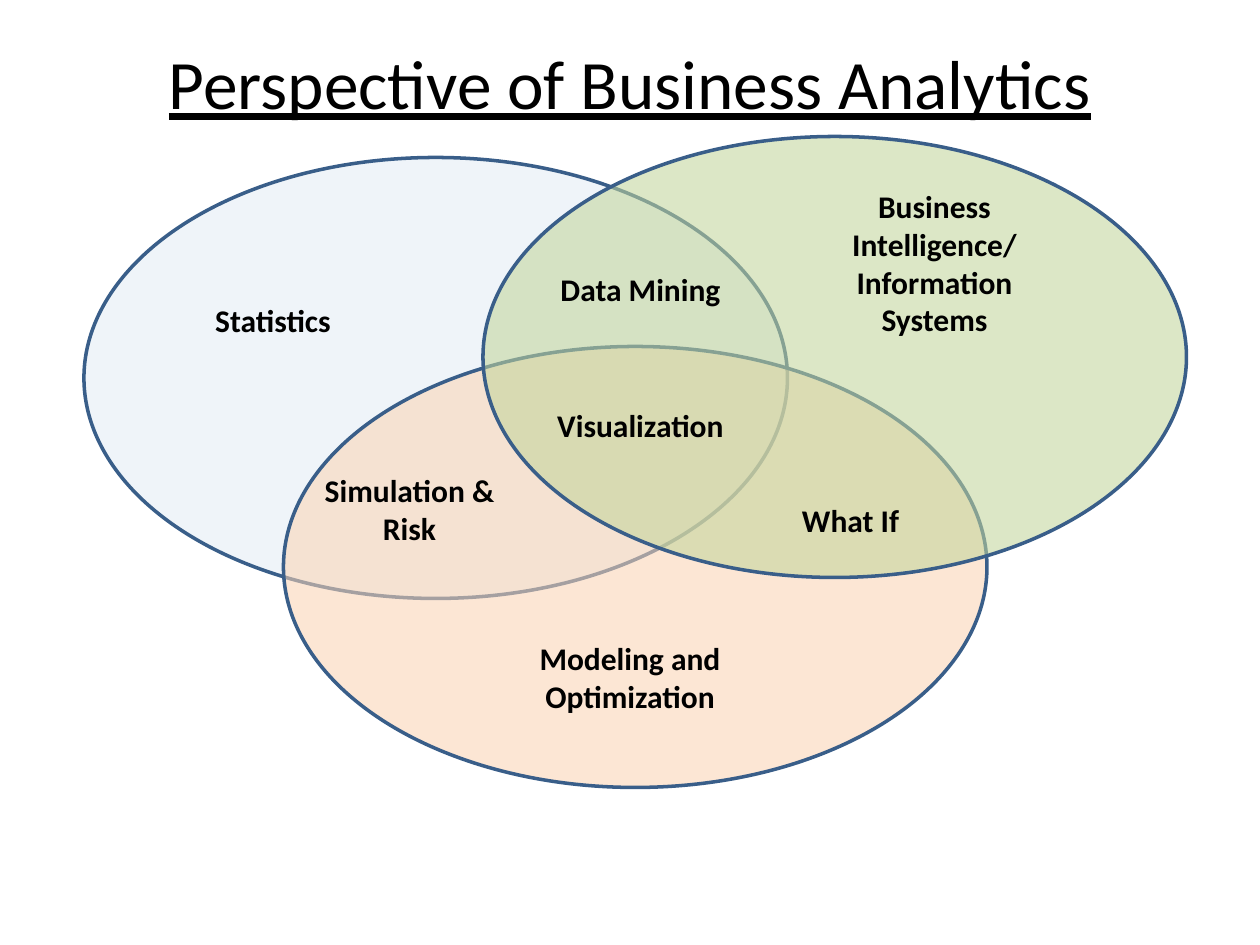
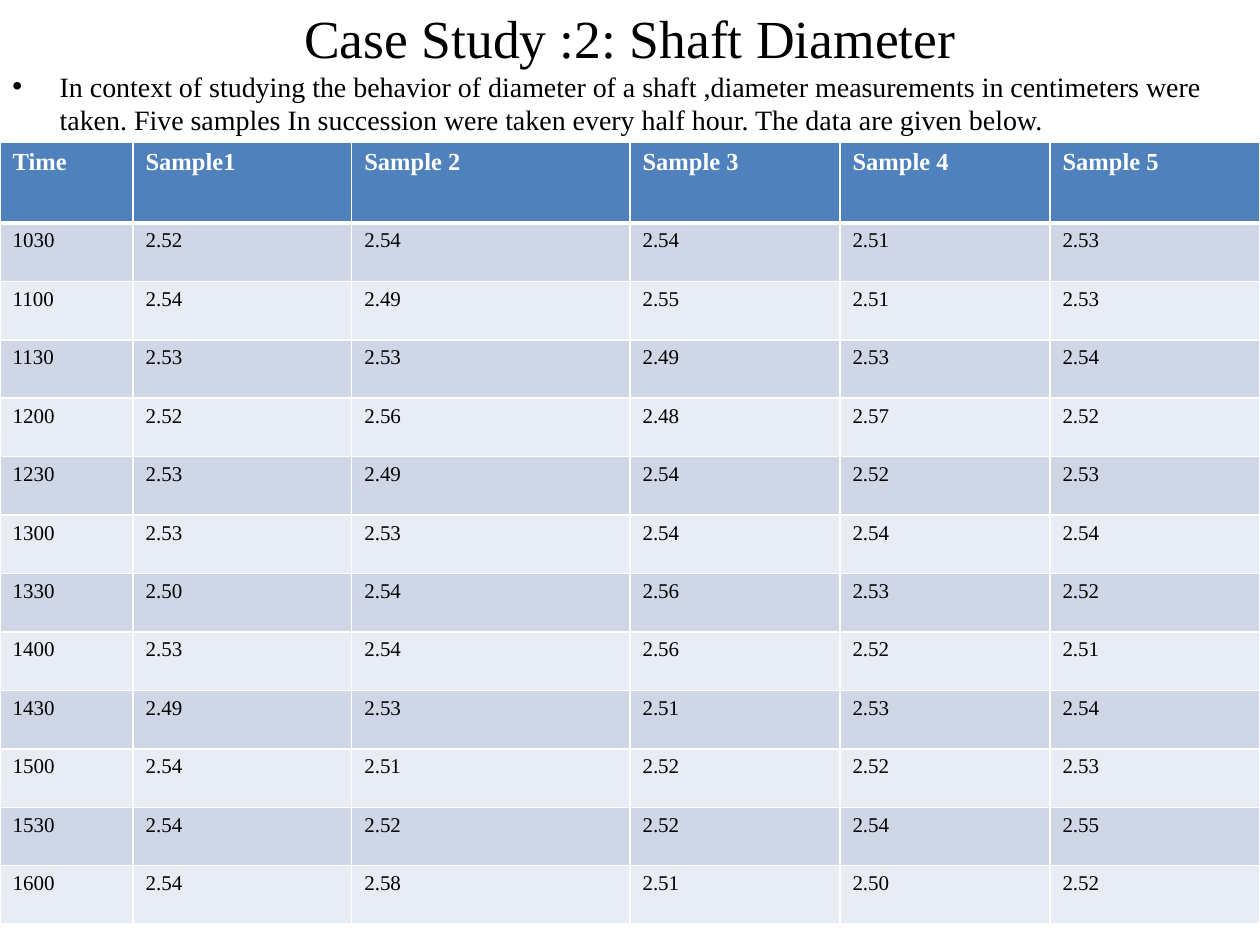
"""Build two slides on business analytics: a Venn diagram and a table of shaft diameters."""
from lxml import etree
from pptx import Presentation, util as u
from pptx.dml.color import RGBColor
from pptx.enum import shapes, text
from pptx.oxml import ns

HUE = {"ink": "000000", "white": "FFFFFF", "edge": "395E89",
       "blue": "DAE5F1", "peach": "FBD4B4", "green": "C2D59B",
       "head": "4F81BD", "dark": "CFD7E7", "light": "E8ECF4"}
SANS, SERIF = "Calibri", "Times New Roman"
MID, TOP = text.MSO_ANCHOR.MIDDLE, text.MSO_ANCHOR.TOP
LEFT, MIDST = text.PP_ALIGN.LEFT, text.PP_ALIGN.CENTER


def write(frame, words, font=SANS, size=18, hue="ink", bold=False, line=False,
          align=MIDST, anchor=MID, bullet=None):
    """Put one formatted paragraph into a text frame."""
    frame.word_wrap = True
    frame.vertical_anchor = anchor
    para = frame.paragraphs[0]
    para.alignment = align
    if bullet:
        props = para._p.get_or_add_pPr()
        props.set("marL", str(u.Pt(27)))
        props.set("indent", str(-u.Pt(27)))
        etree.SubElement(props, ns.qn("a:buFont"), typeface="Arial")
        etree.SubElement(props, ns.qn("a:buChar"), char=bullet)
    run = para.add_run()
    run.text = words
    run.font.name, run.font.size = font, u.Pt(size)
    run.font.bold, run.font.underline = bold, line
    run.font.color.rgb = RGBColor.from_string(HUE[hue])


def box(slide, *place):
    """Add a text box, placed in points, and return its frame."""
    return slide.shapes.add_textbox(*map(u.Pt, place)).text_frame


deck = Presentation()
deck.slide_width, deck.slide_height = u.Pt(720), u.Pt(540)
blank = deck.slide_layouts[6]

venn = deck.slides.add_slide(blank)
for left, top, hue, alpha in [(48, 90, "blue", 41), (162, 198, "peach", 56),
                              (276, 78, "green", 57)]:
    oval = venn.shapes.add_shape(shapes.MSO_SHAPE.OVAL, u.Pt(left), u.Pt(top),
                                 u.Pt(402), u.Pt(252))
    oval.shadow.inherit = False
    oval.fill.solid()
    oval.fill.fore_color.rgb = RGBColor.from_string(HUE[hue])
    tint = oval._element.spPr.find(ns.qn("a:solidFill"))[0]
    etree.SubElement(tint, ns.qn("a:alpha"), val=str(alpha * 1000))
    oval.line.color.rgb = RGBColor.from_string(HUE["edge"])
    oval.line.width = u.Pt(2)

for words, left, top, high in [
        ("Statistics", 90, 162, 42),
        ("Data Mining", 300, 144, 42),
        ("Visualization", 300, 222, 42),
        ("What If", 420, 276, 42),
        ("Simulation & Risk", 168, 270, 42),
        ("Modeling and Optimization", 294, 366, 42),
        ("Business Intelligence/ Information Systems", 468, 108, 84)]:
    write(box(venn, left, top, 132, high), words, bold=True)
write(box(venn, 36, 21.6, 648, 50.4), "Perspective of Business Analytics",
      size=39.6, line=True)

study = deck.slides.add_slide(blank)
write(box(study, 36, 0, 648, 42), "Case Study :2: Shaft Diameter", font=SERIF, size=30.6)
write(box(study, 0, 36, 702, 446.4),
      "In context of studying the behavior of diameter of a shaft ,diameter measurements "
      "in centimeters were taken. Five samples In succession were taken every half hour. "
      "The data are given below.",
      font=SERIF, size=16, align=LEFT, anchor=TOP, bullet="•")

rows = [["Time", "Sample1", "Sample 2", "Sample 3", "Sample 4", "Sample 5"]]
rows += [line.split() for line in """\
1030 2.52 2.54 2.54 2.51 2.53
1100 2.54 2.49 2.55 2.51 2.53
1130 2.53 2.53 2.49 2.53 2.54
1200 2.52 2.56 2.48 2.57 2.52
1230 2.53 2.49 2.54 2.52 2.53
1300 2.53 2.53 2.54 2.54 2.54
1330 2.50 2.54 2.56 2.53 2.52
1400 2.53 2.54 2.56 2.52 2.51
1430 2.49 2.53 2.51 2.53 2.54
1500 2.54 2.51 2.52 2.52 2.53
1530 2.54 2.52 2.52 2.54 2.55
1600 2.54 2.58 2.51 2.50 2.52""".splitlines()]
grid = study.shapes.add_table(len(rows), len(rows[0]), u.Pt(0), u.Pt(81.4),
                              u.Pt(720), u.Pt(446.8)).table
for col, wide in zip(grid.columns, [76, 125, 159, 120, 120, 120]):
    col.width = u.Pt(wide)
for r, row in enumerate(rows):
    grid.rows[r].height = u.Pt(33.4 if r else 46)
    for c, words in enumerate(row):
        cell = grid.cell(r, c)
        props = cell._tc.get_or_add_tcPr()
        for side in "LRTB":
            thick = (r, side) in [(0, "B"), (1, "T")]
            edge = etree.SubElement(props, ns.qn(f"a:ln{side}"), w=str(u.Pt(3 if thick else 1)))
            paint = etree.SubElement(edge, ns.qn("a:solidFill"))
            etree.SubElement(paint, ns.qn("a:srgbClr"), val=HUE["white"])
        cell.fill.solid()
        shade = ("dark" if r % 2 else "light") if r else "head"
        cell.fill.fore_color.rgb = RGBColor.from_string(HUE[shade])
        write(cell.text_frame, words, font=SERIF, size=12 if r else 14,
              hue="ink" if r else "white", bold=r == 0, align=LEFT, anchor=TOP)

deck.save("out.pptx")
